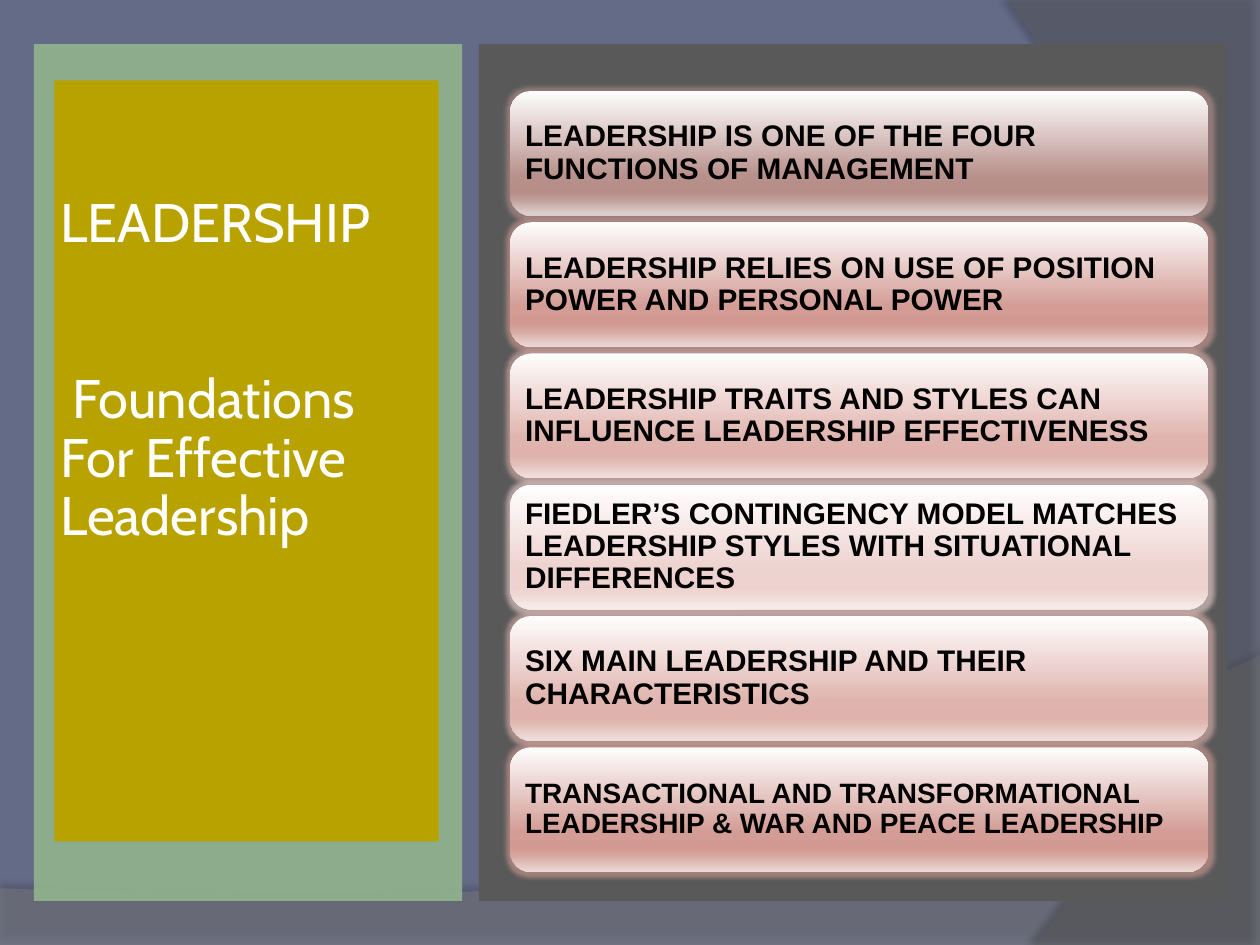
"""Build a slide on the foundations of effective leadership."""
from pptx import Presentation
from pptx.dml.color import RGBColor
from pptx.enum.shapes import MSO_SHAPE
from pptx.enum.text import MSO_ANCHOR, PP_ALIGN
from pptx.oxml import parse_xml
from pptx.oxml.ns import nsdecls, qn
from pptx.util import Pt

SLATE = RGBColor(0x64, 0x6B, 0x86)
GREY = RGBColor(0x7F, 0x7F, 0x7F)
DUSK = RGBColor(0x5E, 0x5E, 0x5E)
SAGE = RGBColor(0x8F, 0xB0, 0x8C)
GOLD = RGBColor(0xB8, 0xA2, 0x00)
COAL = RGBColor(0x59, 0x59, 0x59)
WHITE = RGBColor(0xFF, 0xFF, 0xFF)
BLACK = RGBColor(0x00, 0x00, 0x00)

STOPS = (0, 68, 81, 86, 100)
MAUVE = [RGBColor.from_string(c) for c in "FEFEFE B8918C B68D87 BD9A95 E2D6D5".split()]
ROSE = [RGBColor.from_string(c) for c in "FEFEFE D39C95 D19991 D5A49D ECD9D7".split()]
PINK = [RGBColor.from_string(c) for c in "FFFEFE E0B4AE DFB2AB E1B9B3 F1E1DF".split()]
BLUSH = [RGBColor.from_string(c) for c in "FFFEFE EDD2CF EDD1CD EED5D2 F7ECEB".split()]

CARDS = [
    ("LEADERSHIP IS ONE OF THE FOUR FUNCTIONS OF MANAGEMENT", MAUVE, 17),
    ("LEADERSHIP RELIES ON USE OF POSITION POWER AND PERSONAL POWER", ROSE, 17),
    ("LEADERSHIP TRAITS AND STYLES CAN INFLUENCE LEADERSHIP EFFECTIVENESS", PINK, 17),
    ("FIEDLER’S CONTINGENCY MODEL MATCHES LEADERSHIP STYLES WITH SITUATIONAL "
     "DIFFERENCES", BLUSH, 17),
    ("SIX MAIN LEADERSHIP AND THEIR CHARACTERISTICS", PINK, 17),
    ("TRANSACTIONAL AND TRANSFORMATIONAL LEADERSHIP & WAR AND PEACE LEADERSHIP", ROSE, 16),
]


def paint(shape, color, alpha=100):
    """Fill a shape with one colour and drop its line and shadow."""
    shape.shadow.inherit = False
    shape.line.fill.background()
    shape.fill.solid()
    shape.fill.fore_color.rgb = color
    if alpha < 100:
        tone = shape.fill._xPr.find(qn("a:solidFill"))[0]
        tone.append(parse_xml(f'<a:alpha {nsdecls("a")} val="{alpha * 1000}"/>'))


def effect(shape, body):
    """Put one effect into the shape's effect list."""
    shape._element.spPr.find(qn("a:effectLst")).append(parse_xml(body))


def block(slide, box, color, alpha=100, kind=MSO_SHAPE.RECTANGLE):
    """Add a filled preset shape."""
    shape = slide.shapes.add_shape(kind, *map(Pt, box))
    paint(shape, color, alpha)
    return shape


def curve(a, b, c, d, steps=40):
    """Return points along a cubic curve, without its start."""
    points = []
    for i in range(1, steps + 1):
        t = i / steps
        u = 1 - t
        points.append(tuple(
            u**3 * p + 3 * u * u * t * q + 3 * u * t * t * r + t**3 * s
            for p, q, r, s in zip(a, b, c, d)))
    return points


def wave(slide, points, color, alpha, shade, dist, angle):
    """Add a translucent background wave with a soft shadow."""
    first, *rest = [(Pt(x), Pt(y)) for x, y in points]
    pen = slide.shapes.build_freeform(*first)
    pen.add_line_segments(rest, close=True)
    shape = pen.convert_to_shape()
    paint(shape, color, alpha)
    effect(shape, f'<a:outerShdw {nsdecls("a")} blurRad="{Pt(4)}" dist="{Pt(dist)}" '
                  f'dir="{angle * 60000}"><a:srgbClr val="000000">'
                  f'<a:alpha val="{shade * 1000}"/></a:srgbClr></a:outerShdw>')


def blend(shape, colors):
    """Give a shape a top-down gradient and a matching glow."""
    shape.fill.gradient()
    grad = shape.fill._xPr.find(qn("a:gradFill"))
    stops = "".join(f'<a:gs pos="{p * 1000}"><a:srgbClr val="{c}"/></a:gs>'
                    for p, c in zip(STOPS, colors))
    grad.replace(grad.find(qn("a:gsLst")),
                 parse_xml(f'<a:gsLst {nsdecls("a")}>{stops}</a:gsLst>'))
    shape.fill.gradient_angle = 270
    effect(shape, f'<a:glow {nsdecls("a")} rad="{Pt(5)}"><a:srgbClr val="{colors[1]}">'
                  '<a:alpha val="60000"/></a:srgbClr></a:glow>')


def write(shape, lines, font, size, color, inset, anchor, bold=False, gap=0):
    """Write left-aligned paragraphs into a shape."""
    frame = shape.text_frame
    frame.word_wrap = True
    frame.vertical_anchor = anchor
    frame.margin_left = frame.margin_right = Pt(inset)
    frame.margin_top = frame.margin_bottom = Pt(inset)
    for i, line in enumerate(lines):
        para = frame.paragraphs[0] if i == 0 else frame.add_paragraph()
        para.alignment = PP_ALIGN.LEFT
        para.line_spacing = 0.9
        if i:
            para.space_before = Pt(gap)
        run = para.add_run()
        run.text = line
        run.font.name = font
        run.font.size = Pt(size)
        run.font.bold = bold
        run.font.color.rgb = color


def scene(slide):
    """Paint the slide background and its two waves."""
    slide.background.fill.solid()
    slide.background.fill.fore_color.rgb = SLATE
    low = curve((720, 374.4), (402.5, 525), (281.5, 517.7), (0, 507.6))
    wave(slide, [(0, 540), (720, 540), (720, 374.4), *low], GREY, 45, 35, 3.5, 270)
    side = curve((591, 540), (673, 445.7), (733, 216), (576, 0))
    wave(slide, [(720, 0), (720, 540), (591, 540), *side], DUSK, 40, 45, 4, 180)


def main():
    """Build and save the slide."""
    deck = Presentation()
    deck.slide_width, deck.slide_height = Pt(720), Pt(540)
    slide = deck.slides.add_slide(deck.slide_layouts[6])
    scene(slide)
    block(slide, (19.4, 25.2, 244.8, 489.6), SAGE, 95)
    title = block(slide, (31, 46, 219.6, 434.9), GOLD)
    write(title, ["LEADERSHIP", " Foundations For Effective Leadership"],
          "Cabin", 31, WHITE, 3.6, MSO_ANCHOR.TOP, gap=67)
    title.text_frame.margin_top = Pt(66)
    block(slide, (273.6, 25.2, 427.7, 489.6), COAL)
    for i, (text, colors, size) in enumerate(CARDS):
        card = block(slide, (291.6, 52 + 75 * i, 398.9, 71.3), WHITE,
                     kind=MSO_SHAPE.ROUNDED_RECTANGLE)
        blend(card, colors)
        write(card, [text], "Arial", size, BLACK, 5, MSO_ANCHOR.MIDDLE, bold=True)
    deck.save("out.pptx")


if __name__ == "__main__":
    main()
